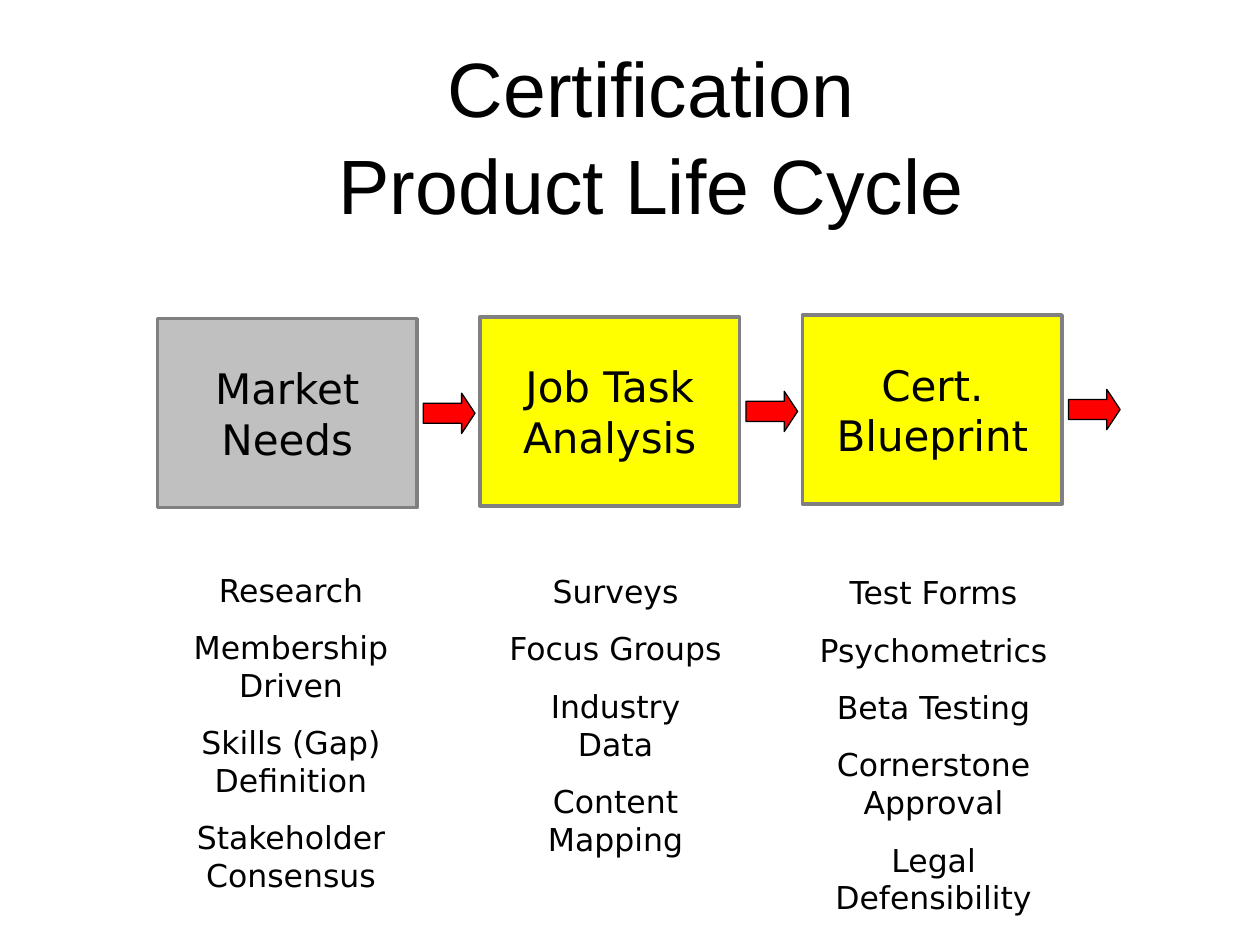
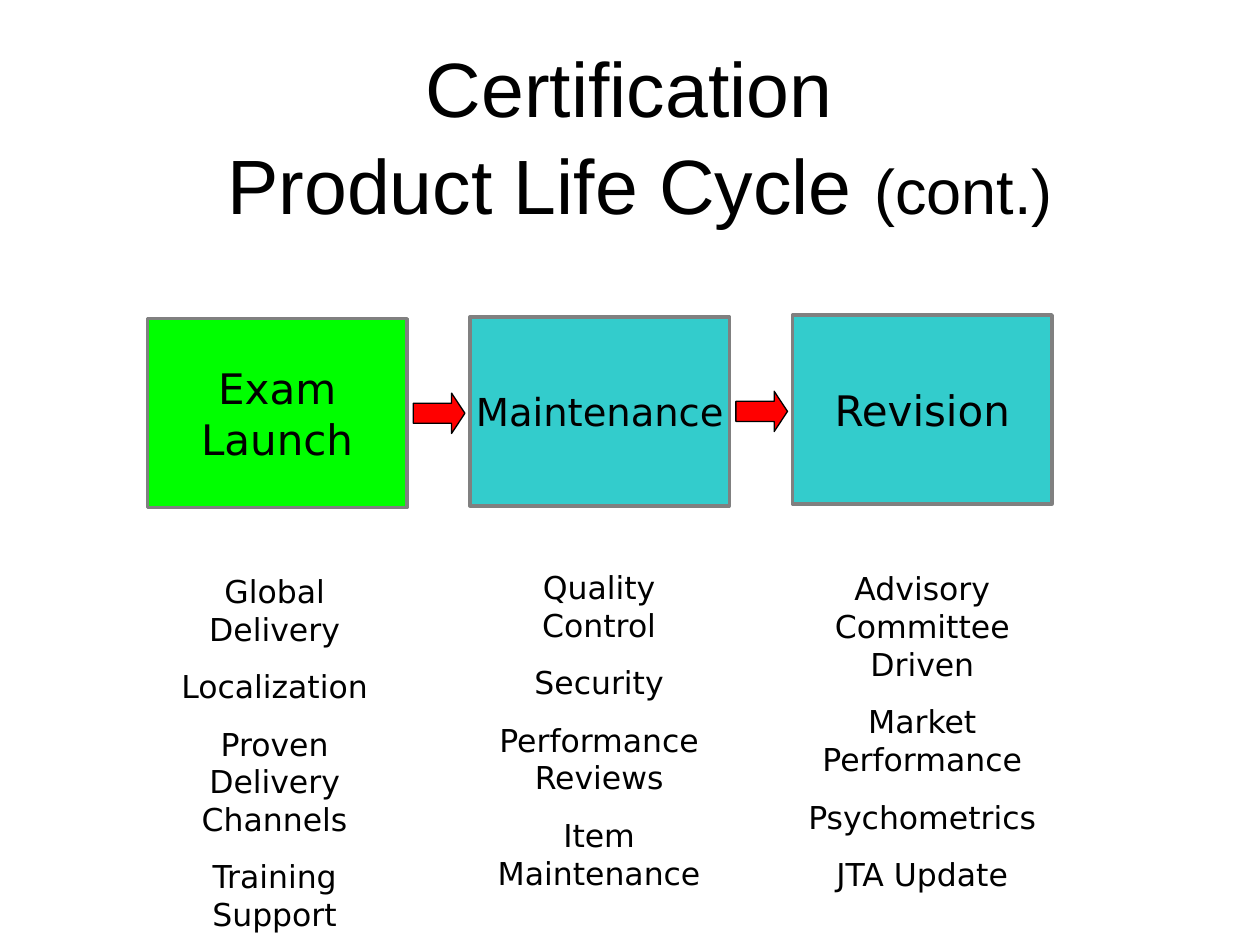
from pptx import Presentation
from pptx import util as u
from pptx.dml.color import RGBColor
from pptx.enum import shapes, text

SANS, TITLE_FONT = "DejaVu Sans", "Arial"
BLACK, GRAY, RED = "000000", "808080", "FF0000"
SILVER, YELLOW, GREEN, TEAL = "C0C0C0", "FFFF00", "00FF00", "33CCCC"

SLIDES = [
    dict(title="Certification\vProduct Life Cycle", suffix="",
         title_left=1.58, left=1.25, arrows=3,
         stages=[
             ("Market Needs", SILVER, (1.38, 4.48, 1.86, 2.67),
              ["Research", "Membership Driven", "Skills (Gap) Definition",
               "Stakeholder Consensus"]),
             ("Job Task Analysis", YELLOW, (3.94, 4.49, 1.89, 2.07),
              ["Surveys", "Focus Groups", "Industry Data", "Content Mapping"]),
             ("Cert. Blueprint", YELLOW, (6.38, 4.5, 2.06, 2.83),
              ["Test Forms", "Psychometrics", "Beta Testing",
               "Cornerstone Approval", "Legal Defensibility"]),
         ]),
    dict(title="Certification \vProduct Life Cycle ", suffix="(cont.)",
         title_left=1.49, left=1.17, arrows=2,
         stages=[
             ("Exam Launch", GREEN, (1.3, 4.49, 1.76, 2.97),
              ["Global Delivery", "Localization", "Proven Delivery Channels",
               "Training Support"]),
             ("Maintenance", TEAL, (3.81, 4.46, 1.89, 2.67),
              ["Quality Control", "Security", "Performance Reviews",
               "Item Maintenance"]),
             ("Revision", TEAL, (6.29, 4.47, 2.06, 2.67),
              ["Advisory Committee Driven", "Market Performance",
               "Psychometrics", "JTA Update"]),
         ]),
]

BOX_W, BOX_H = 2.06, 1.5
PITCH, TOP, RISE = 2.56, 2.53, 0.015
ARROW_W, ARROW_H, ARROW_GAP = 0.41, 0.32, 0.05
SMALL_LABELS = {"Maintenance": (22, 0.03)}


def color(value):
    return RGBColor.from_string(value)


def inches(*values):
    return [u.Inches(v) for v in values]


def write(sp, lines, size, font=SANS, anchor=text.MSO_ANCHOR.TOP, inset=0.1, gap=0):
    tf = sp.text_frame
    tf.word_wrap = True
    tf.vertical_anchor = anchor
    tf.margin_left = tf.margin_right = u.Inches(inset)
    tf.margin_top = tf.margin_bottom = u.Inches(0.05)
    for i, line in enumerate(lines):
        p = tf.add_paragraph() if i else tf.paragraphs[0]
        p.text = line
        p.alignment = text.PP_ALIGN.CENTER
        p.font.name, p.font.size = font, u.Pt(size)
        p.font.color.rgb = color(BLACK)
        if i:
            p.space_before = u.Pt(gap)
    return tf


def shape(s, kind, at, fill, line, width):
    sp = s.shapes.add_shape(kind, *inches(*at))
    sp.shadow.inherit = False
    sp.fill.solid()
    sp.fill.fore_color.rgb = color(fill)
    sp.line.color.rgb = color(line)
    sp.line.width = u.Pt(width)
    return sp


def add_title(s, left, title, suffix):
    sp = s.shapes.add_textbox(*inches(left, 0.43, 7.18, 1.25))
    tf = write(sp, [title], 44, TITLE_FONT, text.MSO_ANCHOR.MIDDLE)
    p = tf.paragraphs[0]
    p.line_spacing = 1.05
    if suffix:
        r = p.add_run()
        r.text = suffix
        r.font.size = u.Pt(36)


def add_stage(s, left, top, label, fill):
    sp = shape(s, shapes.MSO_SHAPE.RECTANGLE, (left, top, BOX_W, BOX_H), fill, GRAY, 2)
    size, inset = SMALL_LABELS.get(label, (24, 0.1))
    write(sp, [label], size, anchor=text.MSO_ANCHOR.MIDDLE, inset=inset)


def add_arrow(s, left, top):
    at = (left + BOX_W + ARROW_GAP, top + (BOX_H - ARROW_H) / 2, ARROW_W, ARROW_H)
    sp = shape(s, shapes.MSO_SHAPE.RIGHT_ARROW, at, RED, BLACK, 0.75)
    sp.adjustments[1] = 0.33


def main():
    prs = Presentation()
    prs.slide_width, prs.slide_height = inches(10, 7.5)
    for data in SLIDES:
        s = prs.slides.add_slide(prs.slide_layouts[6])
        add_title(s, data["title_left"], data["title"], data["suffix"])
        for i, (label, fill, at, points) in enumerate(data["stages"]):
            left, top = data["left"] + i * PITCH, TOP - i * RISE
            add_stage(s, left, top, label, fill)
            if i < data["arrows"]:
                add_arrow(s, left, top)
            write(s.shapes.add_textbox(*inches(*at)), points, 18, gap=11.2)
    prs.save("out.pptx")


if __name__ == "__main__":
    main()
